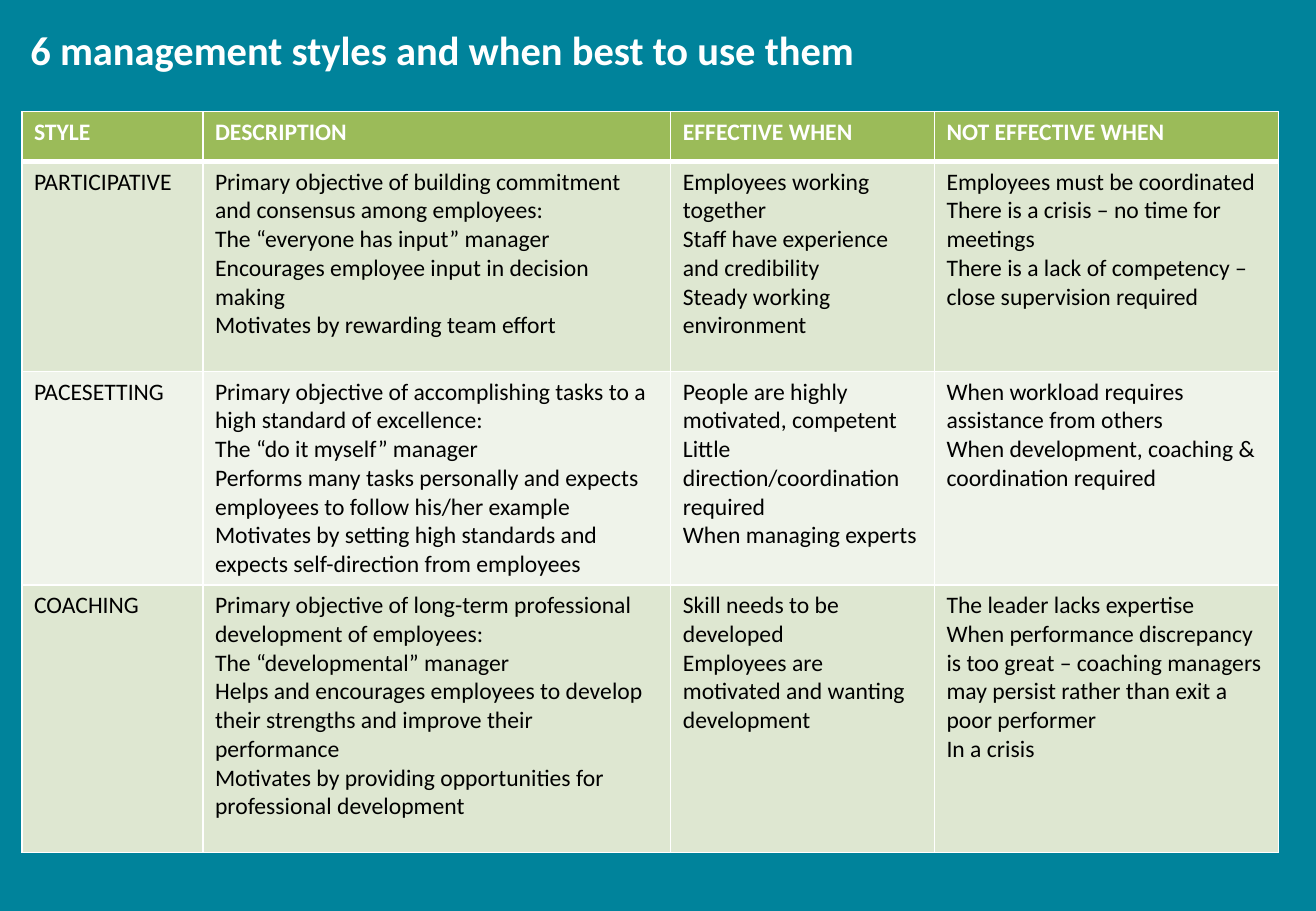
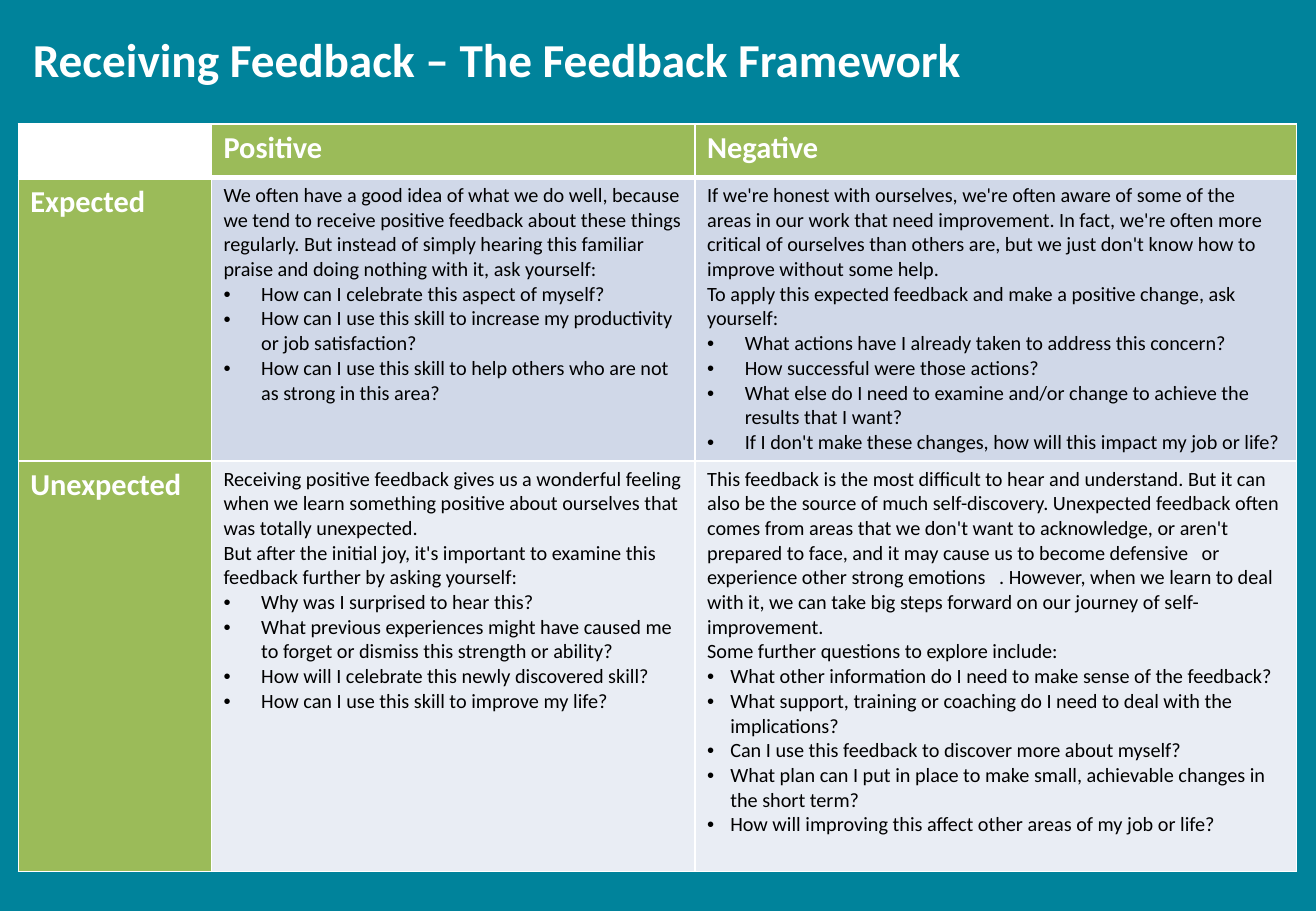
from dataclasses import dataclass

from lxml.etree import SubElement
from pptx import Presentation
from pptx.dml.color import RGBColor
from pptx.enum.text import MSO_ANCHOR, MSO_AUTO_SIZE, PP_ALIGN
from pptx.oxml.ns import qn
from pptx.util import Inches, Pt

TEAL = RGBColor(0x00, 0x83, 0x9B)
GREEN = RGBColor(0x9B, 0xBB, 0x59)
PALE_GREEN = RGBColor(0xDE, 0xE7, 0xD1)
FAINT_GREEN = RGBColor(0xEF, 0xF3, 0xEA)
PALE_BLUE = RGBColor(0xD0, 0xD8, 0xE8)
FAINT_BLUE = RGBColor(0xE9, 0xED, 0xF4)
WHITE = RGBColor(0xFF, 0xFF, 0xFF)
BLACK = RGBColor(0x00, 0x00, 0x00)
FONT = "Calibri"


@dataclass
class Entry:
    lines: tuple
    questions: tuple = ()
    indent: float = 0.31


STYLE_HEADINGS = ("STYLE", "DESCRIPTION", "EFFECTIVE WHEN", "NOT EFFECTIVE WHEN")
STYLES = (
    (
        ("PARTICIPATIVE ",),
        ("Primary objective of building commitment and consensus among employees:",
         "The “everyone has input” manager",
         "Encourages employee input in decision making",
         "Motivates by rewarding team effort"),
        ("Employees working together",
         "Staff have experience and credibility",
         "Steady working environment"),
        ("Employees must be coordinated",
         "There is a crisis – no time for meetings",
         "There is a lack of competency – close supervision required"),
    ),
    (
        ("PACESETTING",),
        ("Primary objective of accomplishing tasks to a high standard of excellence:",
         "The “do it myself” manager",
         "Performs many tasks personally and expects employees to follow his/her example",
         "Motivates by setting high standards and expects self-direction from employees"),
        ("People are highly motivated, competent",
         "Little direction/coordination required",
         "When managing experts"),
        ("When workload requires assistance from others",
         "When development, coaching & coordination required"),
    ),
    (
        ("COACHING",),
        ("Primary objective of long-term professional development of employees:",
         "The “developmental” manager",
         "Helps and encourages employees to develop their strengths and improve "
         "their performance",
         "Motivates by providing opportunities for professional development"),
        ("Skill needs to be developed",
         "Employees are motivated and wanting development"),
        ("The leader lacks expertise",
         "When performance discrepancy is too great – coaching managers may persist "
         "rather than exit a poor performer",
         "In a crisis"),
    ),
)

FEEDBACK_HEADINGS = ("", "Positive", "Negative")
FEEDBACK = {
    "Expected": (
        Entry(
            ("We often have a good idea of what we do well, because we tend to receive "
             "positive feedback about these things regularly. But instead of simply "
             "hearing this familiar praise and doing nothing with it, ask yourself: ",),
            ("How can I celebrate this aspect of myself?",
             "How can I use this skill to increase my productivity or job satisfaction?",
             "How can I use this skill to help others who are not as strong in this area?"),
        ),
        Entry(
            ("If we're honest with ourselves, we're often aware of some of the areas in "
             "our work that need improvement. In fact, we're often more critical of "
             "ourselves than others are, but we just don't know how to improve without "
             "some help.",
             "To apply this expected feedback and make a positive change, ask yourself:"),
            ("What actions have I already taken to address this concern?",
             "How successful were those actions?",
             "What else do I need to examine and/or change to achieve the results that "
             "I want?",
             "If I don't make these changes, how will this impact my job or life?"),
        ),
    ),
    "Unexpected": (
        Entry(
            ("Receiving positive feedback gives us a wonderful feeling when we learn "
             "something positive about ourselves that was totally unexpected.",
             "But after the initial joy, it's important to examine this feedback further "
             "by asking yourself:"),
            ("Why was I surprised to hear this?",
             "What previous experiences might have caused me to forget or dismiss this "
             "strength or ability?",
             "How will I celebrate this newly discovered skill?",
             "How can I use this skill to improve my life?"),
        ),
        Entry(
            ("This feedback is the most difficult to hear and understand. But it can also "
             "be the source of much self-discovery. Unexpected feedback often comes from "
             "areas that we don't want to acknowledge, or aren't prepared to face, and it "
             "may cause us to become defensive \u00a0 or experience other strong emotions "
             "\u00a0 . However, when we learn to deal with it, we can take big steps "
             "forward on our journey of self-improvement.",
             "Some further questions to explore include:"),
            ("What other information do I need to make sense of the feedback?",
             "What support, training or coaching do I need to deal with the implications?",
             "Can I use this feedback to discover more about myself? ",
             "What plan can I put in place to make small, achievable changes in the short "
             "term?",
             "How will improving this affect other areas of my job or life?"),
            indent=0.19,
        ),
    ),
}


def set_font(paragraph, size, color, bold):
    font = paragraph.font
    font.name = FONT
    font.size = Pt(size)
    font.bold = bold
    font.color.rgb = color


def add_title(slide, wording, box, size):
    title = slide.shapes.title
    title.left, title.top, title.width, title.height = map(Inches, box)
    frame = title.text_frame
    frame.text = wording
    frame.word_wrap = True
    frame.auto_size = MSO_AUTO_SIZE.NONE
    frame.vertical_anchor = MSO_ANCHOR.MIDDLE
    heading = frame.paragraphs[0]
    heading.alignment = PP_ALIGN.LEFT
    set_font(heading, size, WHITE, True)


def add_grid(slide, box, widths, heights):
    grid = slide.shapes.add_table(len(heights), len(widths), *map(Inches, box)).table
    grid.first_row = grid.horz_banding = False
    for column, width in zip(grid.columns, widths):
        column.width = Inches(width)
    for row, height in zip(grid.rows, heights):
        row.height = Inches(height)
    return grid


def add_borders(cell, top, bottom):
    properties = cell._tc.get_or_add_tcPr()
    for side, points in (("L", 1), ("R", 1), ("T", top), ("B", bottom)):
        border = SubElement(properties, qn(f"a:ln{side}"), w=str(Pt(points)))
        fill = SubElement(border, qn("a:solidFill"))
        SubElement(fill, qn("a:srgbClr"), val=str(WHITE))


def add_bullet(paragraph, indent):
    properties = paragraph._p.get_or_add_pPr()
    properties.set("marL", str(Inches(indent)))
    properties.set("indent", str(-Inches(indent)))
    SubElement(properties, qn("a:buFont"), typeface="Arial")
    SubElement(properties, qn("a:buChar"), char="•")


def fill_cell(grid, row, column, entry, fill, size, color=BLACK, bold=False):
    cell = grid.cell(row, column)
    add_borders(cell, 3 if row == 1 else 1, 3 if row == 0 else 1)
    cell.fill.solid()
    cell.fill.fore_color.rgb = fill
    cell.text_frame.text = "\n".join(entry.lines + entry.questions)
    for number, paragraph in enumerate(cell.text_frame.paragraphs):
        if number >= len(entry.lines):
            add_bullet(paragraph, entry.indent)
        set_font(paragraph, size, color, bold)


def fill_heading(grid, row, column, wording, size):
    fill = GREEN if wording else WHITE
    fill_cell(grid, row, column, Entry((wording,)), fill, size, WHITE, True)


def add_styles_table(slide, box):
    grid = add_grid(slide, box, (1.49, 3.85, 2.17, 2.83), (0.41, 1.73, 1.73, 2.2))
    for column, wording in enumerate(STYLE_HEADINGS):
        fill_heading(grid, 0, column, wording, 14)
    for row, style in enumerate(STYLES, 1):
        fill = PALE_GREEN if row % 2 else FAINT_GREEN
        for column, lines in enumerate(style):
            fill_cell(grid, row, column, Entry(lines), fill, 14)


def add_feedback_table(slide, box):
    grid = add_grid(slide, box, (1.59, 3.98, 4.95), (0.44, 2.3, 3.38))
    for column, wording in enumerate(FEEDBACK_HEADINGS):
        fill_heading(grid, 0, column, wording, 18)
    for row, (expectation, entries) in enumerate(FEEDBACK.items(), 1):
        fill_heading(grid, row, 0, expectation, 18)
        fill = PALE_BLUE if row % 2 else FAINT_BLUE
        for column, entry in enumerate(entries, 1):
            fill_cell(grid, row, column, entry, fill, 12)


deck = Presentation()
deck.slide_width, deck.slide_height = Inches(10.83), Inches(7.5)
backdrop = deck.slide_master.background.fill
backdrop.solid()
backdrop.fore_color.rgb = TEAL
title_only = deck.slide_layouts[5]

styles_slide = deck.slides.add_slide(title_only)
add_title(styles_slide, "6 management styles and when best to use them",
          (0.15, 0.16, 9.04, 0.5), 24)
add_styles_table(styles_slide, (0.18, 0.92, 10.33, 6.07))

feedback_slide = deck.slides.add_slide(title_only)
add_title(feedback_slide, "Receiving Feedback – The Feedback Framework",
          (0.17, 0.24, 8.77, 0.49), 28)
add_feedback_table(feedback_slide, (0.15, 1.02, 10.52, 6.11))

deck.save("out.pptx")
